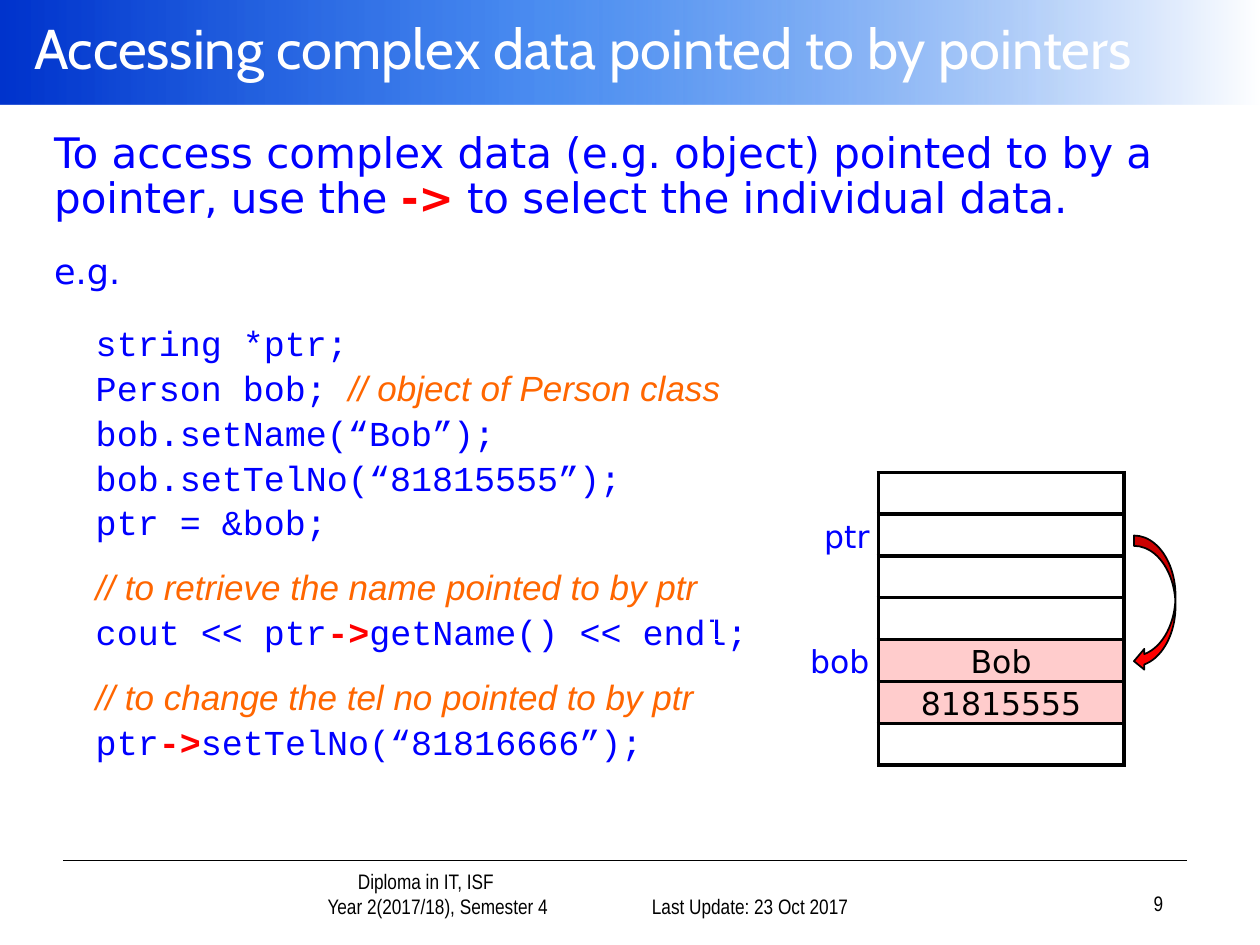
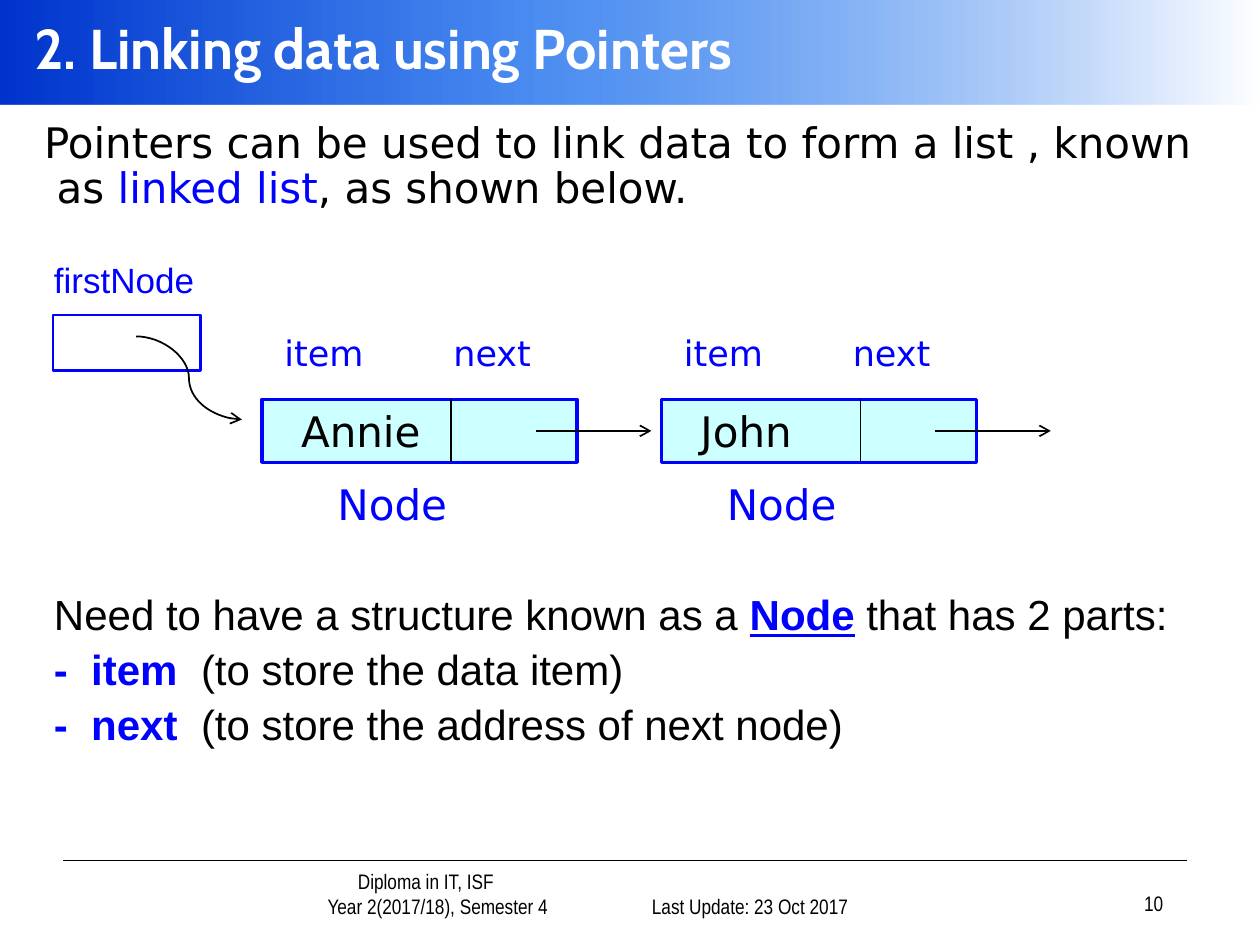
from copy import deepcopy
from lxml.etree import SubElement
from pptx import Presentation
from pptx.dml.color import RGBColor
from pptx.enum.shapes import MSO_CONNECTOR, MSO_SHAPE
from pptx.enum.text import MSO_ANCHOR, MSO_AUTO_SIZE, PP_ALIGN
from pptx.oxml.ns import qn
from pptx.util import Inches, Pt

BLUE, RED, ORANGE = "0000FF", "FF0000", "FF6600"
BLACK, WHITE, PINK, AQUA = "000000", "FFFFFF", "FFCCCC", "CCFFFF"
SANS, ARIAL, CODE = "DejaVu Sans", "Arial", "Courier New"
NARROW, HEAD = "Arial Narrow", "Cabin"
TITLE = (0.17, 0, 9.83, 0.75)


def tint(code):
    """Turn a hex string into a colour."""
    return RGBColor.from_string(code)


def inch(*sizes):
    """Turn numbers into lengths."""
    return [Inches(size) for size in sizes]


def place(shape, box):
    """Move a shape into a box."""
    shape.left, shape.top, shape.width, shape.height = inch(*box)


def style(run, font, size, color=BLACK, bold=False, italic=False, line=False):
    """Format one run."""
    face = run.font
    face.name, face.size, face.color.rgb = font, Pt(size), tint(color)
    face.bold, face.italic, face.underline = bold, italic, line


def write(para, parts, left=0, first=0, pitch=None, gap=None, align=PP_ALIGN.LEFT):
    """Fill a paragraph with styled runs, without a bullet."""
    for text, *look in parts:
        run = para.add_run()
        run.text = text
        style(run, *look)
    para.alignment = align
    para.line_spacing = pitch
    if gap is not None:
        para.space_before = Pt(gap)
    props = para._p.get_or_add_pPr()
    props.set("marL", str(Inches(left)))
    props.set("indent", str(Inches(first)))
    SubElement(props, qn("a:buNone"))


def lines(frame, rows):
    """Write rows of (parts, options) into a text frame."""
    frame.word_wrap = True
    frame.auto_size = MSO_AUTO_SIZE.NONE
    for place_no, (parts, more) in enumerate(rows):
        para = frame.add_paragraph() if place_no else frame.paragraphs[0]
        write(para, parts, **more)


def label(slide, box, rows, anchor=MSO_ANCHOR.TOP):
    """Add a text box."""
    shape = slide.shapes.add_textbox(*inch(*box))
    lines(shape.text_frame, rows)
    shape.text_frame.vertical_anchor = anchor
    return shape


def block(slide, kind, box, fill=None, edge=None, width=1):
    """Add a flat preset shape."""
    shape = slide.shapes.add_shape(kind, *inch(*box))
    shape.shadow.inherit = False
    if fill:
        shape.fill.solid()
        shape.fill.fore_color.rgb = tint(fill)
    else:
        shape.fill.background()
    if edge:
        shape.line.color.rgb = tint(edge)
        shape.line.width = Pt(width)
    else:
        shape.line.fill.background()
    return shape


def link(slide, start, end, kind=MSO_CONNECTOR.STRAIGHT, arrow=False):
    """Draw a thin black line or arrow."""
    wire = slide.shapes.add_connector(kind, *inch(*start, *end))
    wire.line.color.rgb = tint(BLACK)
    wire.line.width = Pt(1)
    if arrow:
        SubElement(wire.line._get_or_add_ln(), qn("a:tailEnd"), type="arrow")
    SubElement(wire.element.spPr, qn("a:effectLst"))
    return wire


def blend(shape):
    """Fade a shape from dark blue to white."""
    shape.fill.gradient()
    shape.fill.gradient_angle = 0
    first = shape.element.xpath(".//a:gs")[0]
    first.addnext(deepcopy(first))
    steps = ((0, "0033CC"), (0.43, "005EEB"), (1, WHITE))
    for stop, (spot, color) in zip(shape.fill.gradient_stops, steps):
        stop.position, stop.color.rgb = spot, tint(color)
    middle = shape.element.xpath(".//a:gs/a:srgbClr")[1]
    SubElement(middle, qn("a:alpha"), val="70000")


def frame(layout, slide):
    """Build the band and footer and move them to the layout."""
    band = block(slide, MSO_SHAPE.RECTANGLE, (0, 0, 10, 0.83))
    blend(band)
    rule = link(slide, (0.5, 6.83), (9.42, 6.83))
    look = (NARROW, 12)
    mid = {"align": PP_ALIGN.CENTER, "gap": 0}
    course = label(slide, (1.68, 6.92, 2.9, 0.42), [
        ([("Diploma in IT, ISF", *look)], {"left": 0.5, **mid}),
        ([("Year 2(2017/18), Semester 4", *look)], {"left": 0.69, **mid}),
    ], MSO_ANCHOR.BOTTOM)
    date = label(slide, (4.75, 6.92, 2.08, 0.42), [
        ([("Last Update: 23 Oct 2017", *look)], {"align": PP_ALIGN.RIGHT}),
    ], MSO_ANCHOR.BOTTOM)
    for spot, part in enumerate((band, rule, course, date)):
        part.element.xpath("./*/p:cNvPr")[0].set("id", str(100 + spot))
        layout.shapes.element.insert(2 + spot, part.element)
    place(layout.placeholders[0], TITLE)


def page(slide, number, title, bold, box, rows):
    """Fill the title, body and page number."""
    head = slide.shapes.title
    head.text_frame.vertical_anchor = MSO_ANCHOR.MIDDLE
    lines(head.text_frame, [([(title, HEAD, 32, WHITE, bold)], {})])
    body = slide.placeholders[1]
    place(body, box)
    lines(body.text_frame, rows)
    label(slide, (7.25, 6.9, 2.08, 0.42), [
        ([(str(number), NARROW, 12)], {"align": PP_ALIGN.RIGHT}),
    ], MSO_ANCHOR.BOTTOM)


def border(cell, sides):
    """Draw black borders on the named sides of a cell."""
    props = cell._tc.get_or_add_tcPr()
    for spot, side in enumerate(sides):
        edge = props.makeelement(qn("a:ln" + side), {"w": str(Pt(2.25))})
        fill = SubElement(edge, qn("a:solidFill"))
        SubElement(fill, qn("a:srgbClr"), val=BLACK)
        props.insert(spot, edge)


def memory(slide, left, top):
    """Draw the memory cells with their names, and the pointer arrow."""
    rows = [("", ""), ("ptr", ""), ("", ""), ("", ""),
            ("bob", "Bob"), ("", "81815555"), ("", "")]
    box = inch(left, top, 3.25, 0.33 * len(rows))
    grid = slide.shapes.add_table(len(rows), 2, *box).table
    grid.first_row = grid.horz_banding = False
    grid.columns[0].width, grid.columns[1].width = inch(1.3, 1.95)
    looks = ((BLUE, PP_ALIGN.RIGHT, "R"), (BLACK, PP_ALIGN.CENTER, "LRTB"))
    for row, texts in enumerate(rows):
        for col, (text, (color, align, sides)) in enumerate(zip(texts, looks)):
            cell = grid.cell(row, col)
            cell.margin_left = cell.margin_right = Inches(0.07)
            cell.margin_top = cell.margin_bottom = 0
            if col and text:
                cell.fill.solid()
                cell.fill.fore_color.rgb = tint(PINK)
            else:
                cell.fill.background()
            border(cell, sides)
            para = cell.text_frame.paragraphs[0]
            para.text, para.alignment = text, align
            para.font.size = Pt(18)
            if text:
                para.line_spacing = 1.15
            for run in para.runs:
                style(run, SANS, 18, color)
    block(slide, MSO_SHAPE.CURVED_LEFT_ARROW,
          (left + 3.33, top + 0.5, 0.33, 1.08), RED, BLACK)


def access(slide):
    """Build the slide on reaching data through a pointer."""
    code, note = (CODE, 20, BLUE), (ARIAL, 20, ORANGE, False, True)
    arrow = ("->", CODE, 20, RED, True)
    text = (SANS, 24, BLUE)
    near = {"pitch": 0.9}
    deep = {"left": 0.33, **near}
    rows = [
        ([("To access complex data (e.g. object) pointed to by a pointer, use the ", *text),
          ("->", SANS, 24, RED, True),
          (" to select the individual data.", *text)], near),
        ([("e.g.", SANS, 20, BLUE)], {"gap": 18, **near}),
        ([("string *ptr;", *code)], {"gap": 19.5, **deep}),
        ([("Person bob; ", *code), ("// object of Person class", *note)], deep),
        ([("bob.setName(“Bob”);", *code)], deep),
        ([("bob.setTelNo(“81815555”);", *code)], deep),
        ([("ptr = &bob;", *code)], deep),
        ([("// to retrieve the name pointed to by ptr", *note)], {"gap": 15.5, **deep}),
        ([("cout << ptr", *code), arrow, ("getName() << endl;", *code)], deep),
        ([("// to change the tel no pointed to by ptr", *note)], {"gap": 15.5, **deep}),
        ([("ptr", *code), arrow, ("setTelNo(“81816666”);", *code)], deep),
    ]
    page(slide, 9, "Accessing complex data pointed to by pointers", False,
         (0.33, 1, 9.42, 5.67), rows)
    memory(slide, 5.67, 3.75)


def node(slide, left, top, name, split, shift):
    """Draw a list node with its field names and outgoing arrow."""
    box = block(slide, MSO_SHAPE.RECTANGLE, (left, top, 2.5, 0.5), AQUA, BLUE, 2)
    lines(box.text_frame, [([(name, SANS, 24)], {})])
    box.text_frame.margin_left = Inches(0.31)
    link(slide, (left + split, top), (left + split, top + 0.5))
    link(slide, (left + 2.17, top + 0.25), (left + 3.09, top + 0.25), arrow=True)
    tags = (("item", 0.08, -0.59, 20), ("next", 1.42, -0.59, 20),
            ("Node", shift, 0.58, 24))
    for text, right, down, size in tags:
        label(slide, (left + right, top + down, 1.33, 0.44),
              [([(text, SANS, size, BLUE)], {})])


def start(slide, left, top):
    """Draw the pointer to the first node."""
    label(slide, (left - 0.09, top - 0.5, 1.33, 0.44),
          [([("firstNode", ARIAL, 20, BLUE)], {})])
    block(slide, MSO_SHAPE.RECTANGLE, (left, top, 1.17, 0.44), None, BLUE, 1.5)
    link(slide, (left + 0.66, top + 0.17), (left + 1.5, top + 0.83),
         MSO_CONNECTOR.CURVE, True)


def chain(slide):
    """Build the slide on linked lists."""
    text = (SANS, 24)
    page(slide, 10, "2. Linking data using Pointers", True, (0.25, 0.92, 9.5, 0.92), [
        ([("Pointers can be used to link data to form a list , known as ", *text),
          ("linked list", *text, BLUE), (", as shown below.", *text)],
         {"left": 0.1, "first": -0.1, "pitch": 0.9}),
    ])
    start(slide, 0.42, 2.5)
    node(slide, 2.08, 3.17, "Annie", 1.5, 0.5)
    node(slide, 5.25, 3.17, "John", 1.58, 0.42)
    plain, key = (ARIAL, 24), (ARIAL, 24, BLUE, True)
    near = {"pitch": 0.9, "gap": 5.5}
    rows = [([("Need to have a structure known as a ", *plain),
              ("Node", *key, False, True), (" that has 2 parts:", *plain)], near)]
    fields = (("item", "(to store the data item)"),
              ("next", "(to store the address of next node)"))
    for name, use in fields:
        rows.append(([(f"-  {name}  ", *key), (use, *plain)],
                     {"left": 0.38, "first": -0.38, **near}))
    label(slide, (0.33, 4.67, 9.25, 1.58), rows)


def main():
    """Build and save the slides."""
    deck = Presentation()
    deck.slide_width, deck.slide_height = inch(10, 7.5)
    layout = deck.slide_layouts[1]
    first, second = [deck.slides.add_slide(layout) for _ in range(2)]
    frame(layout, first)
    access(first)
    chain(second)
    deck.save("out.pptx")


if __name__ == "__main__":
    main()
